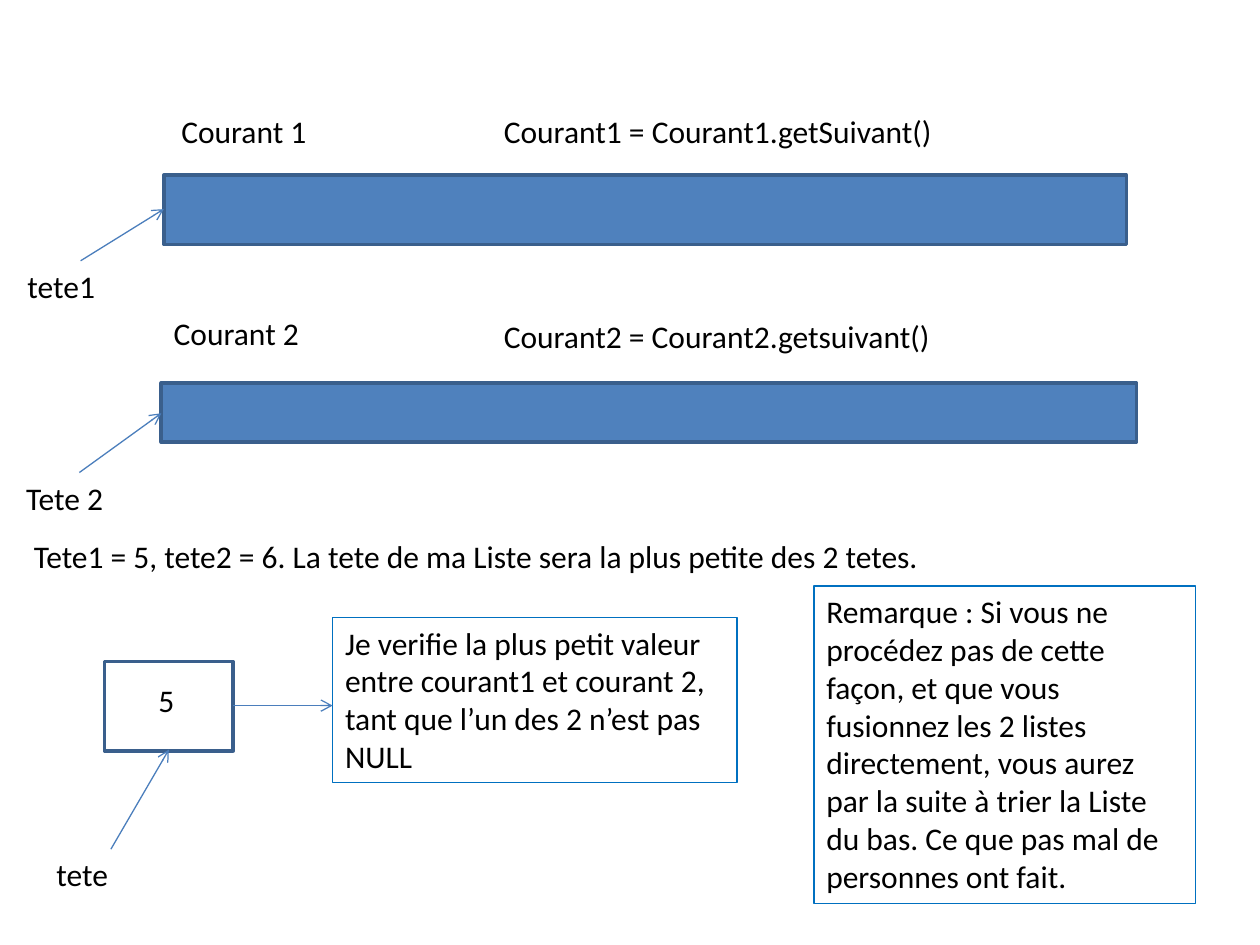
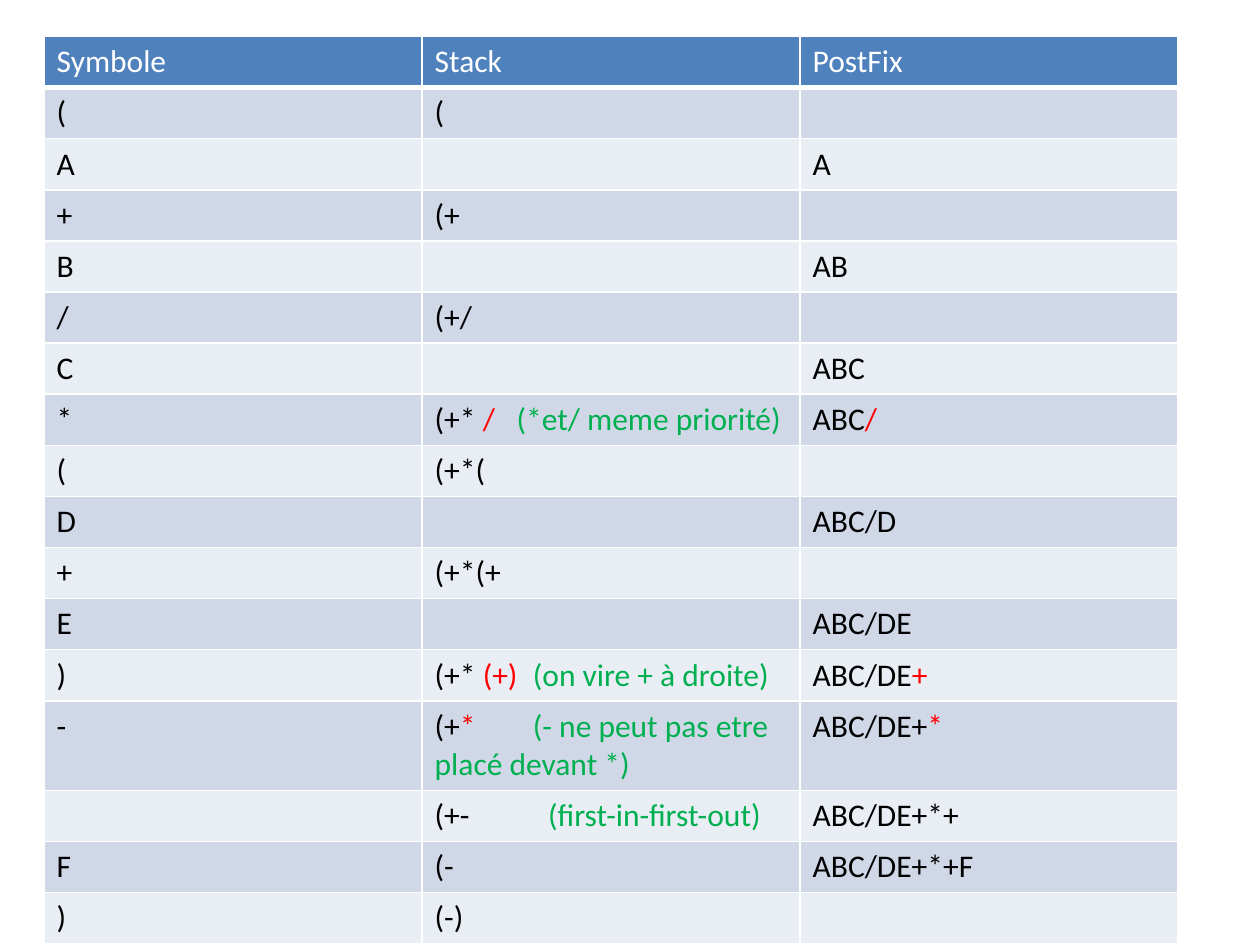
"""Build two slides: merging two sorted lists, and an infix to postfix stack table."""
from lxml import etree
from pptx import Presentation
from pptx.dml.color import RGBColor
from pptx.enum.shapes import MSO_CONNECTOR, MSO_SHAPE
from pptx.enum.text import MSO_ANCHOR, PP_ALIGN
from pptx.oxml.ns import qn
from pptx.util import Inches, Pt

RECT = MSO_SHAPE.RECTANGLE
STRAIGHT = MSO_CONNECTOR.STRAIGHT
LEFT = PP_ALIGN.LEFT
TOP = MSO_ANCHOR.TOP

BLUE = RGBColor(0x4F, 0x81, 0xBD)
DARK_BLUE = RGBColor(0x3A, 0x5F, 0x8C)
ARROW_BLUE = RGBColor(0x4B, 0x7E, 0xBC)
NOTE_BLUE = RGBColor(0x00, 0x70, 0xC0)
BAND_DARK = RGBColor(0xD0, 0xD8, 0xE8)
BAND_LIGHT = RGBColor(0xE9, 0xED, 0xF4)
BLACK = RGBColor(0, 0, 0)
WHITE = RGBColor(255, 255, 255)
RED = RGBColor(255, 0, 0)
GREEN = RGBColor(0x00, 0xB0, 0x50)
FONT = "Calibri"
SIZE = Pt(18)


def add_run(p, text, color=BLACK):
    r = p.add_run()
    r.text = text
    r.font.name = FONT
    r.font.size = SIZE
    r.font.bold = False
    r.font.color.rgb = color


def add_rect(slide, box, line, width, fill=None):
    sp = slide.shapes.add_shape(RECT, *map(Inches, box))
    sp.shadow.inherit = False
    if fill is None:
        sp.fill.background()
    else:
        sp.fill.solid()
        sp.fill.fore_color.rgb = fill
    sp.line.color.rgb = line
    sp.line.width = Pt(width)
    return sp


prs = Presentation()
prs.slide_width = Inches(10)
prs.slide_height = Inches(7.5)
blank = prs.slide_layouts[6]

s = prs.slides.add_slide(blank)

list_bars = [(1.3, 1.39, 7.64, 0.55), (1.28, 3.04, 7.74, 0.47)]
for box in list_bars:
    add_rect(s, box, DARK_BLUE, 2, BLUE)
add_rect(s, (0.83, 5.25, 1.02, 0.71), DARK_BLUE, 2)

labels = [
    (1.16, 5.36, 0.47, "5"),
    (1.34, 0.84, 1.85, "Courant 1"),
    (1.28, 2.44, 2.05, "Courant 2"),
    (3.9, 0.84, 4.25, "Courant1 = Courant1.getSuivant()"),
    (3.9, 2.47, 3.94, "Courant2 = Courant2.getsuivant()"),
    (0.35, 6.74, 1.04, "tete"),
    (0.12, 2.07, 1.04, "tete1"),
    (0.11, 3.75, 1.04, "Tete 2"),
    (0.17, 4.21, 9.16, "Tete1 = 5, tete2 = 6. La tete de ma Liste sera la plus petite des 2 tetes."),
]
for x, y, w, text in labels:
    tf = s.shapes.add_textbox(Inches(x), Inches(y), Inches(w), Inches(0.4)).text_frame
    tf.word_wrap = True
    add_run(tf.paragraphs[0], text)

notes = [
    ((2.64, 4.9, 3.21, 1.31),
     "Je verifie la plus petit valeur entre courant1 et courant 2, "
     "tant que l’un des 2 n’est pas NULL"),
    ((6.46, 4.65, 3.03, 2.52),
     "Remarque : Si vous ne procédez pas de cette façon, et que vous fusionnez "
     "les 2 listes directement, vous aurez par la suite à trier la Liste du bas. "
     "Ce que pas mal de personnes ont fait."),
]
for box, text in notes:
    tf = add_rect(s, box, NOTE_BLUE, 0.75).text_frame
    tf.word_wrap = True
    tf.vertical_anchor = TOP
    p = tf.paragraphs[0]
    p.alignment = LEFT
    add_run(p, text)

arrows = [
    (1.85, 5.6, 2.64, 5.6),
    (0.63, 3.75, 1.28, 3.28),
    (0.64, 2.07, 1.3, 1.66),
    (0.88, 6.74, 1.34, 5.95),
]
for ends in arrows:
    cx = s.shapes.add_connector(STRAIGHT, *map(Inches, ends))
    cx.line.color.rgb = ARROW_BLUE
    cx.line.width = Pt(0.75)
    etree.SubElement(cx.line._get_or_add_ln(), qn("a:tailEnd"), type="arrow")
    etree.SubElement(cx._element.spPr, qn("a:effectLst"))

s = prs.slides.add_slide(blank)

rows = [
    ("Symbole", "Stack", "PostFix"),
    ("(", "(", ""),
    ("A", "", "A"),
    ("+", "(+", ""),
    ("B", "", "AB"),
    ("/", "(+/", ""),
    ("C", "", "ABC"),
    ("*", [("(+* ", BLACK), ("/", RED), ("\t(*et/ meme priorité)", GREEN)],
     [("ABC", BLACK), ("/", RED)]),
    ("(", "(+*(", ""),
    ("D", "", "ABC/D"),
    ("+", "(+*(+", ""),
    ("E", "", "ABC/DE"),
    (")", [("(+* ", BLACK), ("(+)", RED), ("\t(on vire + à droite)", GREEN)],
     [("ABC/DE", BLACK), ("+", RED)]),
    ("-", [("(+", BLACK), ("*", RED), ("\t(- ne peut pas etre placé devant *)", GREEN)],
     [("ABC/DE+", BLACK), ("*", RED)]),
    ("", [("(+-", BLACK), ("\t(first-in-first-out)", GREEN)], "ABC/DE+*+"),
    ("F", "(-", "ABC/DE+*+F"),
    (")", "(-)", ""),
]
comment_tabs = {7: 0.65, 12: 0.78, 13: 0.78, 14: 0.9}

table = s.shapes.add_table(len(rows), 3, Inches(0.35), Inches(0.29),
                           Inches(9), Inches(0.39 * len(rows))).table
table.first_row = False
table.horz_banding = False
for i, row in enumerate(rows):
    table.rows[i].height = Inches(0.39)
    fill = BLUE if i == 0 else BAND_DARK if i % 2 else BAND_LIGHT
    for j, content in enumerate(row):
        cell = table.cell(i, j)
        tcPr = cell._tc.get_or_add_tcPr()
        for side in "LRTB":
            width = Pt(3) if i == 0 and side == "B" else Pt(1)
            ln = etree.SubElement(tcPr, qn("a:ln" + side), w=str(width))
            solid = etree.SubElement(ln, qn("a:solidFill"))
            etree.SubElement(solid, qn("a:srgbClr"), val=str(WHITE))
        cell.fill.solid()
        cell.fill.fore_color.rgb = fill
        p = cell.text_frame.paragraphs[0]
        if j == 1 and i in comment_tabs:
            tabs = etree.SubElement(p._p.get_or_add_pPr(), qn("a:tabLst"))
            etree.SubElement(tabs, qn("a:tab"), pos=str(Inches(comment_tabs[i])), algn="l")
        if not content:
            p.font.size = SIZE
        elif isinstance(content, str):
            add_run(p, content, BLACK if i else WHITE)
        else:
            for text, color in content:
                add_run(p, text, color)

prs.save("out.pptx")
